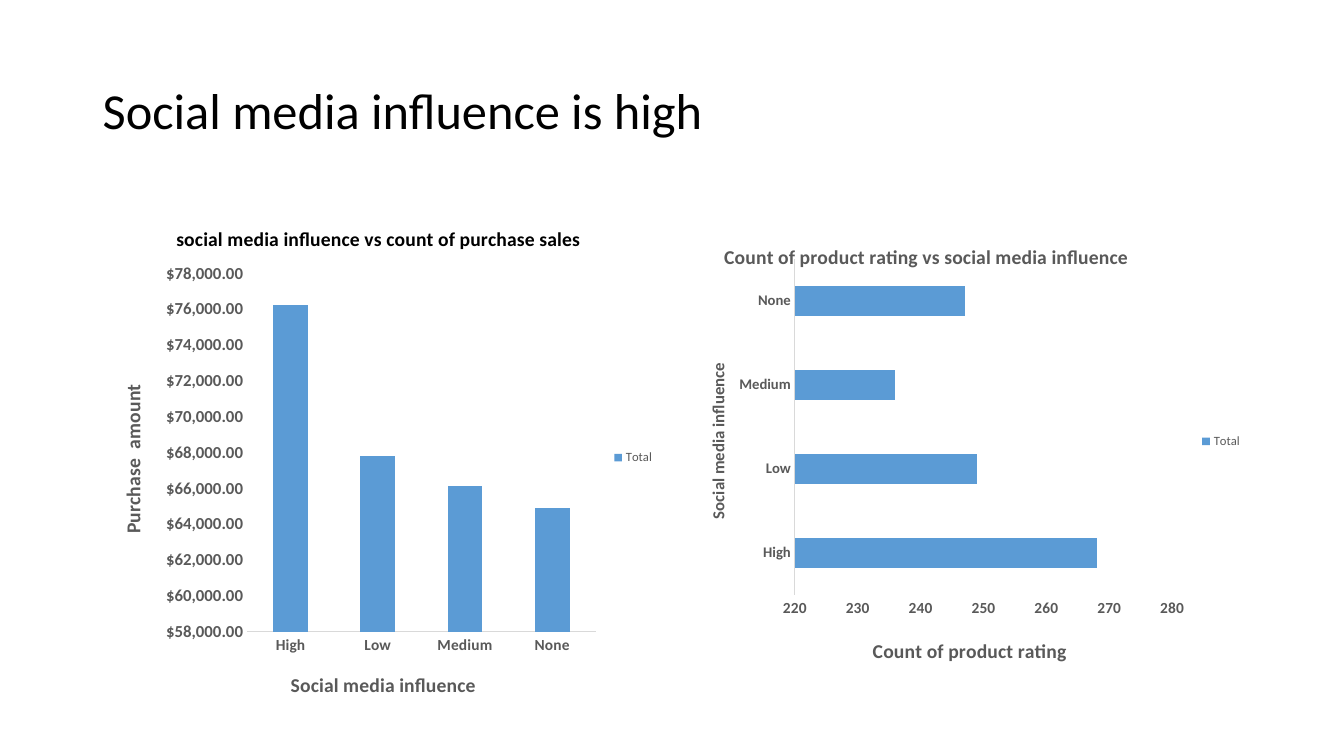
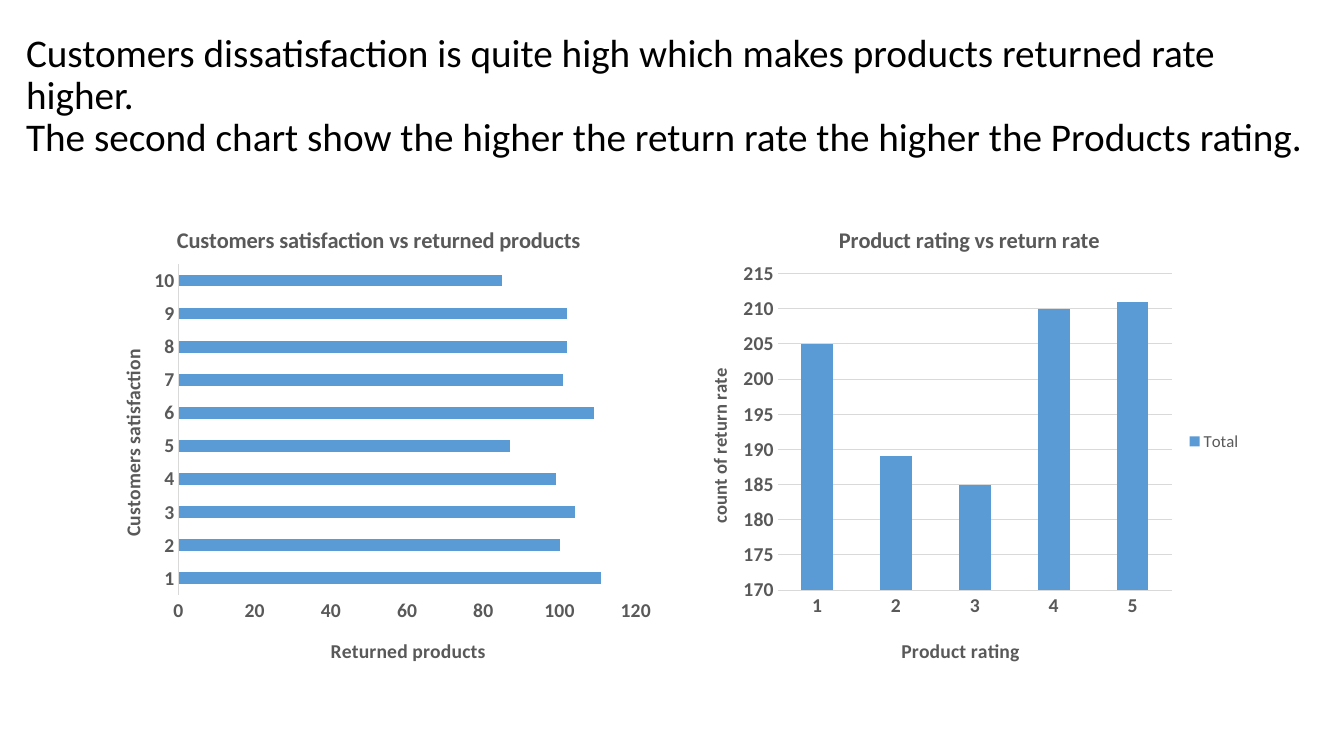
from dataclasses import dataclass
from lxml import etree
from pptx import Presentation
from pptx.chart.data import CategoryChartData
from pptx.dml.color import RGBColor
from pptx.enum.chart import XL_CHART_TYPE, XL_LEGEND_POSITION, XL_TICK_MARK
from pptx.enum.text import MSO_ANCHOR
from pptx.oxml.ns import qn
from pptx.util import Inches, Pt

COLUMN = XL_CHART_TYPE.COLUMN_STACKED
BAR = XL_CHART_TYPE.BAR_CLUSTERED
RIGHT = XL_LEGEND_POSITION.RIGHT
NO_TICK = XL_TICK_MARK.NONE
MIDDLE = MSO_ANCHOR.MIDDLE


@dataclass(frozen=True)
class Theme:
    """Colours, font and type sizes of the deck."""
    font: str = "Calibri"
    black: str = "000000"
    grey: str = "595959"
    rule: str = "D9D9D9"
    blue: str = "5B9BD5"
    head: int = 36
    long: int = 28
    base: int = 10
    line: float = 0.75


@dataclass(frozen=True)
class Label:
    """A chart or axis title, placed by fractions of the chart."""
    text: str
    size: float
    x: float
    y: float
    color: str = Theme.grey


@dataclass(frozen=True)
class Graph:
    """Data and look of one chart."""
    kind: int
    series: str
    cats: list
    vals: list
    title: Label
    cat: Label
    val: Label
    scale: tuple
    sizes: tuple
    plot: tuple
    legend: int = 0
    grid: bool = False
    form: str = "0"


THEME = Theme()
LEVELS = ["High", "Low", "Medium", "None"]
LEFT = (0.92, 2, 5.67, 4.76)
TALL = (0.92, 2, 5.67, 5.08)
SIDE = (6.75, 2, 5.67, 4.76)

SALES = Graph(
    COLUMN, "Total", LEVELS, [76200, 67800, 66100, 64900],
    Label("social media influence vs count of purchase sales", 14, 0.14, 0.04, THEME.black),
    Label("Social media influence", 14, 0.34, 0.91),
    Label("Purchase  amount", 14, 0.04, 0.35),
    (58000, 78000, 2000), (11, 12), (0.27, 0.14, 0.61, 0.7),
    legend=9, form='"$"#,##0.00')
RATING = Graph(
    BAR, "Total", LEVELS, [268, 249, 236, 247],
    Label("Count of product rating vs social media influence", 14, 0.07, 0.08),
    Label("Social media influence", 12, 0.04, 0.33),
    Label("Count of product rating", 14, 0.33, 0.9),
    (220, 280, 10), (10.5, 11), (0.2, 0.12, 0.66, 0.7), legend=9)
RETURNS = Graph(
    BAR, "Series 1", [str(n) for n in range(1, 11)],
    [111, 100, 104, 99, 87, 109, 101, 102, 102, 85],
    Label("Customers satisfaction vs returned products", 16, 0.14, 0.04),
    Label("Customers satisfaction", 14, 0.04, 0.3),
    Label("Returned products", 14, 0.41, 0.9),
    (0, 120, 20), (14, 14), (0.15, 0.13, 0.8, 0.69))
RATE = Graph(
    COLUMN, "Total", [str(n) for n in range(1, 6)], [205, 189, 185, 210, 211],
    Label("Product rating vs return rate", 16, 0.27, 0.04),
    Label("Product rating", 14, 0.38, 0.9),
    Label("count of return rate", 13.3, 0.04, 0.34),
    (170, 215, 5), (14, 14), (0.17, 0.15, 0.69, 0.66), legend=12, grid=True)


def style(font, size, color, bold=False):
    """Set the face, size, colour and weight of a font."""
    font.name = THEME.font
    font.size = Pt(size)
    font.bold = bold
    font.color.rgb = RGBColor.from_string(color)


def stroke(line):
    """Draw a line as a thin pale rule."""
    line.color.rgb = RGBColor.from_string(THEME.rule)
    line.width = Pt(THEME.line)


def place(node, spot, index, inner=False):
    """Give a chart part a fixed layout, in fractions of the chart."""
    for old in node.findall(qn("c:layout")):
        node.remove(old)
    layout = etree.Element(qn("c:layout"))
    node.insert(index, layout)
    manual = etree.SubElement(layout, qn("c:manualLayout"))
    pairs = [("layoutTarget", "inner")] if inner else []
    pairs += [("xMode", "edge"), ("yMode", "edge")]
    pairs += zip("xywh", spot)
    for tag, value in pairs:
        etree.SubElement(manual, qn("c:" + tag)).set("val", str(value))


def add_label(owner, label, turn=False):
    """Write the title of a chart or an axis."""
    title = owner.chart_title if hasattr(owner, "chart_title") else owner.axis_title
    frame = title.text_frame
    run = frame.paragraphs[0].add_run()
    run.text = label.text
    style(run.font, label.size, label.color, True)
    body = title._element.find(".//" + qn("a:bodyPr"))
    body.set("rot", "-5400000" if turn else "0")
    body.set("vert", "horz")
    place(title._element, (label.x, label.y), 1)


def set_axis(axis, label, size, turn):
    """Style an axis and its title."""
    axis.major_tick_mark = axis.minor_tick_mark = NO_TICK
    axis.has_major_gridlines = False
    style(axis.tick_labels.font, size, THEME.grey, True)
    add_label(axis, label, turn)


def add_graph(slide, box, graph):
    """Place one bar or column chart in a box."""
    data = CategoryChartData()
    data.categories = graph.cats
    data.add_series(graph.series, graph.vals)
    chart = slide.shapes.add_chart(graph.kind, *map(Inches, box), data).chart
    style(chart.font, THEME.base, THEME.black)
    add_label(chart, graph.title)
    chart.has_legend = bool(graph.legend)
    if graph.legend:
        chart.legend.position = RIGHT
        chart.legend.include_in_layout = False
        style(chart.legend.font, graph.legend, THEME.grey)

    flat = graph.kind == BAR
    cat, val = chart.category_axis, chart.value_axis
    set_axis(cat, graph.cat, graph.sizes[0], flat)
    set_axis(val, graph.val, graph.sizes[1], not flat)
    stroke(cat.format.line)
    val.format.line.fill.background()
    val.minimum_scale, val.maximum_scale, val.major_unit = graph.scale
    val.tick_labels.number_format = graph.form
    val.tick_labels.number_format_is_linked = False
    if graph.grid:
        val.has_major_gridlines = True
        stroke(val.major_gridlines.format.line)

    plot = chart.plots[0]
    plot.vary_by_categories = False
    plot.gap_width = 182 if flat else 150
    plot.overlap = 0 if flat else 100
    fill = plot.series[0].format.fill
    fill.solid()
    fill.fore_color.rgb = RGBColor.from_string(THEME.blue)
    area = chart._chartSpace.find(".//" + qn("c:plotArea"))
    place(area, graph.plot, 0, True)


def add_head(slide, box, lines, size):
    """Write the slide title, one run to a line."""
    frame = slide.shapes.add_textbox(*map(Inches, box)).text_frame
    frame.word_wrap = True
    frame.vertical_anchor = MIDDLE
    para = frame.paragraphs[0]
    para.line_spacing = 0.9
    for index, line in enumerate(lines):
        if index:
            para.add_line_break()
        run = para.add_run()
        run.text = line
        style(run.font, size, THEME.black)


def add_page(deck, box, lines, size, graphs):
    """Add a slide with a title over its charts."""
    slide = deck.slides.add_slide(deck.slide_layouts[6])
    add_head(slide, box, lines, size)
    for spot, graph in graphs:
        add_graph(slide, spot, graph)


def main():
    """Build and save the deck."""
    deck = Presentation()
    deck.slide_width, deck.slide_height = Inches(13.33), Inches(7.5)
    add_page(deck, (0.92, 0.4, 11.5, 1.45), ["Social media influence is high"],
             THEME.head, [(TALL, SALES), (SIDE, RATING)])
    add_page(deck, (0.16, 0.19, 12.92, 1.54), [
        "Customers dissatisfaction is quite high which makes products returned rate higher.",
        "The second chart show the higher the return rate the higher the Products rating.",
    ], THEME.long, [(LEFT, RETURNS), (SIDE, RATE)])
    deck.save("out.pptx")


if __name__ == "__main__":
    main()
